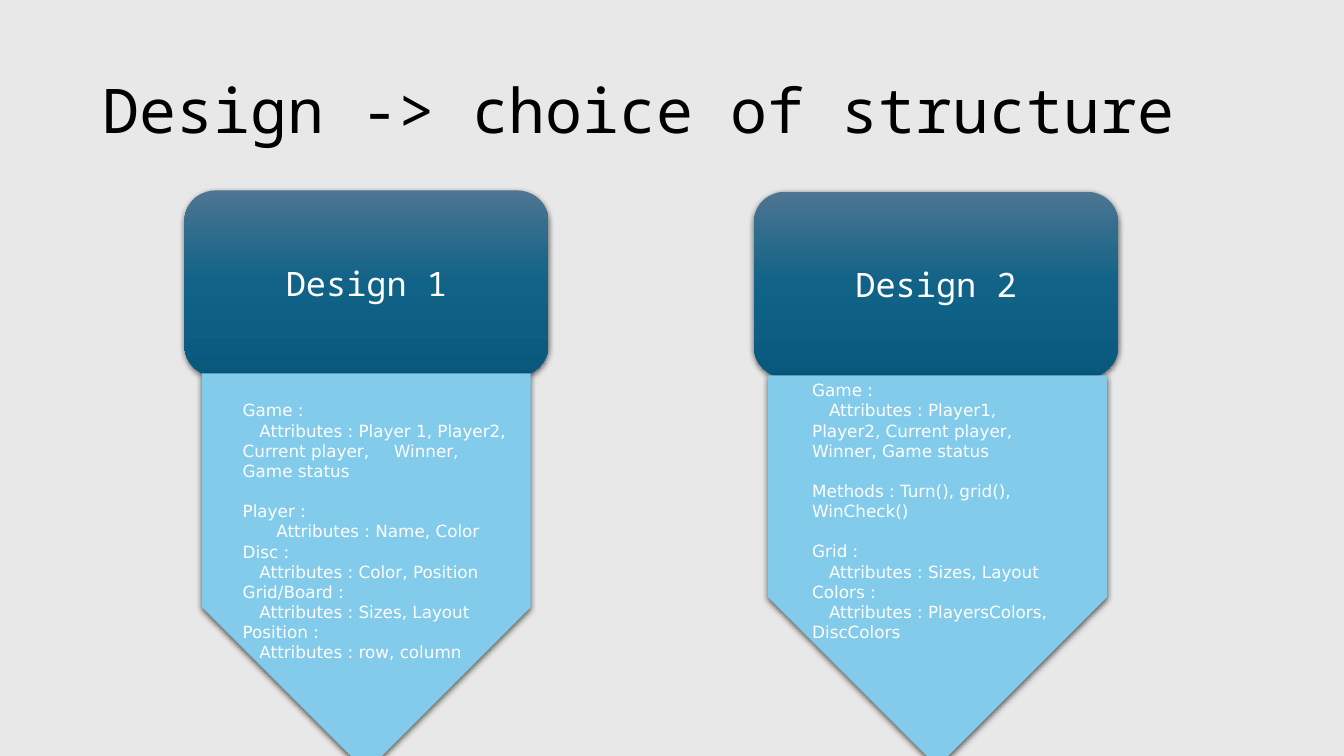
from copy import deepcopy

from lxml import etree
from pptx import Presentation
from pptx.dml.color import RGBColor
from pptx.enum import shapes, text
from pptx.oxml import ns
from pptx.util import Pt

LINE_HEIGHT = 14.4
FIRST_LINE_INDENT = 12
MONO, SANS = "Noto Sans Mono", "DejaVu Sans"
WHITE, BLACK = "FFFFFF", "000000"

# Each entry is (text, indented, blank lines above)
DESIGNS = [
    {
        "name": "Design 1",
        "header": (131.75, 136.1, 260, 132.5),
        "arrow": (119.5, 291.6, 284.4, 234.7),
        "body": (166.3, 267.85, 204.5, 211),
        "entries": [
            ("Game :", False, 1),
            ("Attributes : Player 1, Player2, Current player,\tWinner, Game status", True, 0),
            ("Player :", False, 1),
            ("Attributes : Name, Color", 2, 0),
            ("Disc :", False, 0),
            ("Attributes : Color, Position", True, 0),
            ("Grid/Board :", False, 0),
            ("Attributes : Sizes, Layout", True, 0),
            ("Position :", False, 0),
            ("Attributes : row, column", True, 0),
        ],
    },
    {
        "name": "Design 2",
        "header": (538.6, 137, 260, 132.5),
        "arrow": (529.9, 286.6, 279.4, 242.6),
        "body": (573.1, 267.85, 204.5, 254.2),
        "entries": [
            ("Game :", False, 0),
            ("Attributes : Player1,\vPlayer2, Current player, Winner, Game status", True, 0),
            ("Methods : Turn(), grid(), WinCheck()", False, 1),
            ("Grid :", False, 1),
            ("Attributes : Sizes, Layout", True, 0),
            ("Colors :", False, 0),
            ("Attributes : PlayersColors, DiscColors", True, 0),
        ],
    },
]


def color(hex_string):
    return RGBColor.from_string(hex_string)


def write(paragraph, content, *, font, size, fill=WHITE, align=text.PP_ALIGN.LEFT,
          spacing=None, before=0, indent=0, tab=None):
    """Fill a paragraph with text; indent applies to its first line only."""
    paragraph.text = content
    paragraph.alignment = align
    paragraph.space_before = Pt(before)
    if spacing:
        paragraph.line_spacing = spacing
    for run in paragraph.runs:
        run.font.name = font
        run.font.size = Pt(size)
        run.font.color.rgb = color(fill)
    properties = paragraph._p.get_or_add_pPr()
    if indent:
        properties.set("indent", str(Pt(indent)))
    if tab:
        tabs = etree.SubElement(properties, ns.qn("a:tabLst"))
        etree.SubElement(tabs, ns.qn("a:tab"), pos=str(Pt(tab)), algn="l")


class DesignSlide:
    """Holds the slide and the style of its elements."""

    gradient = ((0, "4C7591"), (0.5, "106287"), (1, "09597D"))
    arrow_fill = "83CBEB"
    background = "E8E8E8"

    def __init__(self, presentation):
        self.slide = presentation.slides.add_slide(presentation.slide_layouts[5])
        fill = self.slide.background.fill
        fill.solid()
        fill.fore_color.rgb = color(self.background)

    def title(self, content, box):
        shape = self.slide.shapes.title
        shape.left, shape.top, shape.width, shape.height = map(Pt, box)
        frame = shape.text_frame
        frame.auto_size = text.MSO_AUTO_SIZE.NONE
        frame.vertical_anchor = text.MSO_ANCHOR.MIDDLE
        write(frame.paragraphs[0], content, font=MONO, size=44, fill=BLACK, spacing=0.9)

    def block(self, kind, box):
        """Add an outline-free shape with a soft shadow below it."""
        shape = self.slide.shapes.add_shape(kind, *map(Pt, box))
        shape.line.fill.background()
        shape.shadow.inherit = False
        effects = shape._element.spPr.find(ns.qn("a:effectLst"))
        shadow = etree.SubElement(
            effects, ns.qn("a:outerShdw"), blurRad=str(Pt(4.5)), dist=str(Pt(1.5)),
            dir="5400000", algn="ctr", rotWithShape="0")
        shade = etree.SubElement(shadow, ns.qn("a:srgbClr"), val=BLACK)
        etree.SubElement(shade, ns.qn("a:alpha"), val="63000")
        return shape

    def header(self, content, box):
        shape = self.block(shapes.MSO_SHAPE.ROUNDED_RECTANGLE, box)
        shape.fill.gradient()
        shape.fill.gradient_angle = 270
        stops = shape._element.spPr.find(".//" + ns.qn("a:gsLst"))
        stops.insert(1, deepcopy(stops[0]))
        for stop, (position, shade) in zip(shape.fill.gradient_stops, self.gradient):
            stop.position = position
            stop.color.rgb = color(shade)
        frame = shape.text_frame
        frame.vertical_anchor = text.MSO_ANCHOR.MIDDLE
        write(frame.paragraphs[0], content, font=MONO, size=24, align=text.PP_ALIGN.CENTER)

    def arrow(self, box):
        shape = self.block(shapes.MSO_SHAPE.PENTAGON, box)
        shape.rotation = 90
        shape.fill.solid()
        shape.fill.fore_color.rgb = color(self.arrow_fill)

    def body(self, entries, box):
        frame = self.slide.shapes.add_textbox(*map(Pt, box)).text_frame
        frame.word_wrap = True
        frame.margin_top = Pt(3.6 + entries[0][2] * LINE_HEIGHT)
        for index, (content, level, blank_lines) in enumerate(entries):
            paragraph = frame.add_paragraph() if index else frame.paragraphs[0]
            write(paragraph, content, font=SANS, size=12, spacing=Pt(LINE_HEIGHT),
                  before=blank_lines * LINE_HEIGHT if index else 0,
                  indent=level * FIRST_LINE_INDENT,
                  tab=118 if "\t" in content else None)


def main():
    presentation = Presentation()
    presentation.slide_width, presentation.slide_height = Pt(960), Pt(540)
    page = DesignSlide(presentation)
    page.title("Design -> choice of structure", (66, 28.75, 828, 104.4))
    for design in DESIGNS:
        page.header(design["name"], design["header"])
        page.arrow(design["arrow"])
        page.body(design["entries"], design["body"])
    presentation.save("out.pptx")


if __name__ == "__main__":
    main()
